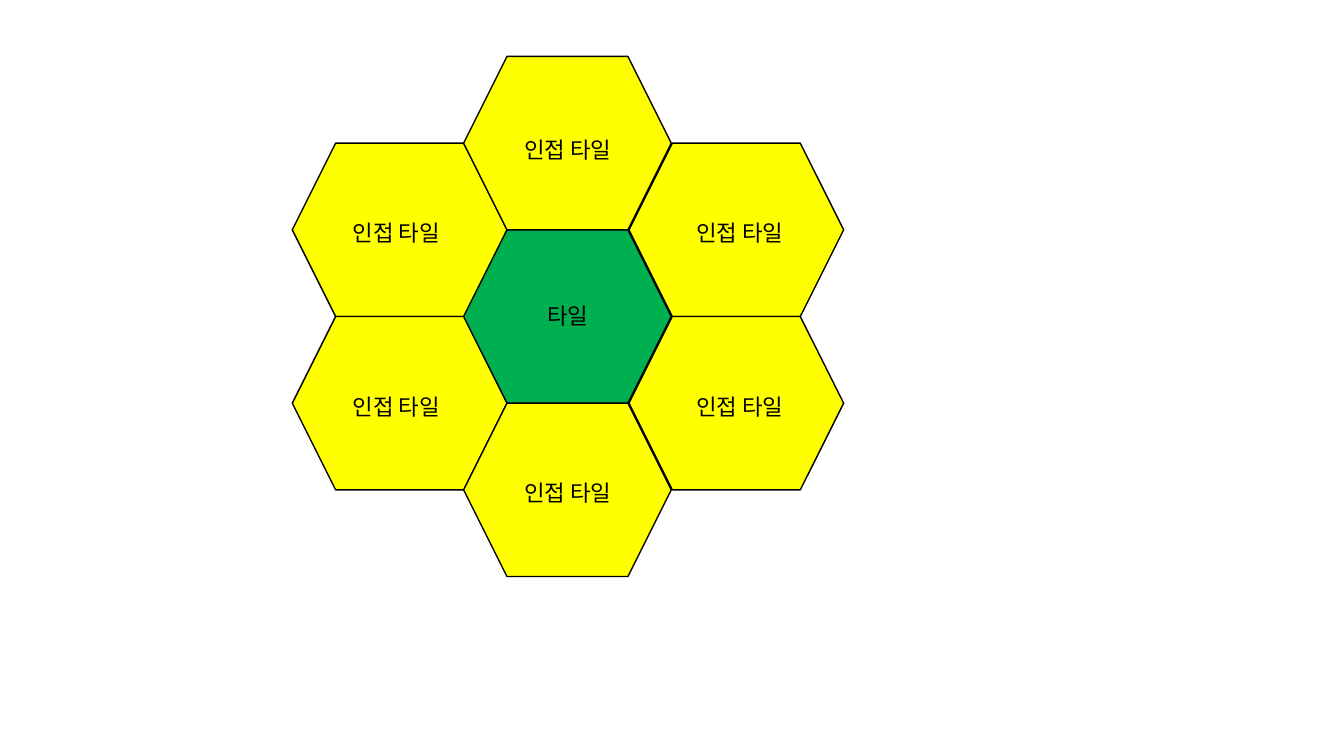
from dataclasses import dataclass

from lxml.etree import SubElement
from pptx import Presentation
from pptx.dml.color import RGBColor
from pptx.enum.shapes import MSO_SHAPE
from pptx.enum.text import MSO_AUTO_SIZE, PP_ALIGN
from pptx.oxml.ns import qn
from pptx.util import Pt


@dataclass(frozen=True)
class Theme:
    center: RGBColor = RGBColor(0x00, 0xB0, 0x50)
    neighbor: RGBColor = RGBColor(0xFF, 0xFF, 0x00)
    ink: RGBColor = RGBColor(0x00, 0x00, 0x00)
    font: str = "Noto Sans CJK KR"
    size: int = 16
    outline: int = 1


@dataclass(frozen=True)
class Tile:
    text: str
    fill: RGBColor
    left: float
    half_row: int
    width: float
    column: int
    label_drop: float = 51


THEME = Theme()
HONEYCOMB_BOX = (208.8, 40.32, 393.84, 371.52)
WIDE, NARROW = 153.36, 148.32
LABEL_LEFT, LABEL_STEP = 31, 122.7
LABEL_WIDTH, LABEL_HEIGHT = 86.4, 26.64
NEIGHBOR = ("인접 타일", THEME.neighbor)

TILES = [
    Tile("타일", THEME.center, 117.36, 2, WIDE, 1, 48.24),
    Tile(*NEIGHBOR, 0, 1, WIDE, 0),
    Tile(*NEIGHBOR, 0, 3, WIDE, 0),
    Tile(*NEIGHBOR, 122.4, 4, NARROW, 1),
    Tile(*NEIGHBOR, 122.4, 0, NARROW, 1, 53.28),
    Tile(*NEIGHBOR, 240.48, 1, WIDE, 2),
    Tile(*NEIGHBOR, 240.48, 3, WIDE, 2),
]


def apply_format(target, values):
    for name, value in values.items():
        setattr(target, name, value)


def add_hexagon(shapes, tile, left, top, height):
    hexagon = shapes.add_shape(
        MSO_SHAPE.HEXAGON, Pt(left), Pt(top), Pt(tile.width), Pt(height)
    )
    hexagon.shadow.inherit = False
    hexagon.fill.solid()
    hexagon.fill.fore_color.rgb = tile.fill
    hexagon.line.color.rgb = THEME.ink
    hexagon.line.width = Pt(THEME.outline)


def add_label(shapes, text, left, top):
    label = shapes.add_textbox(Pt(left), Pt(top), Pt(LABEL_WIDTH), Pt(LABEL_HEIGHT))
    frame = label.text_frame
    apply_format(
        frame, {"word_wrap": True, "auto_size": MSO_AUTO_SIZE.SHAPE_TO_FIT_TEXT}
    )
    paragraph = frame.paragraphs[0]
    paragraph.alignment = PP_ALIGN.CENTER
    run = paragraph.add_run()
    run.text = text
    apply_format(run.font, {"name": THEME.font, "size": Pt(THEME.size)})
    run.font.color.rgb = THEME.ink
    east_asian = SubElement(run.font._element, qn("a:ea"))
    east_asian.set("typeface", THEME.font)


def add_honeycomb(slide, box):
    left, top, width, height = box
    tile_height = height / 3
    shapes = slide.shapes.add_group_shape().shapes
    for tile in TILES:
        tile_top = top + tile.half_row * tile_height / 2
        add_hexagon(shapes, tile, left + tile.left, tile_top, tile_height)
    for tile in TILES:
        tile_top = top + tile.half_row * tile_height / 2
        label_left = left + LABEL_LEFT + tile.column * LABEL_STEP
        add_label(shapes, tile.text, label_left, tile_top + tile.label_drop)


def main():
    presentation = Presentation()
    apply_format(presentation, {"slide_width": Pt(960), "slide_height": Pt(540)})
    slide = presentation.slides.add_slide(presentation.slide_layouts[6])
    add_honeycomb(slide, HONEYCOMB_BOX)
    presentation.save("out.pptx")


if __name__ == "__main__":
    main()
